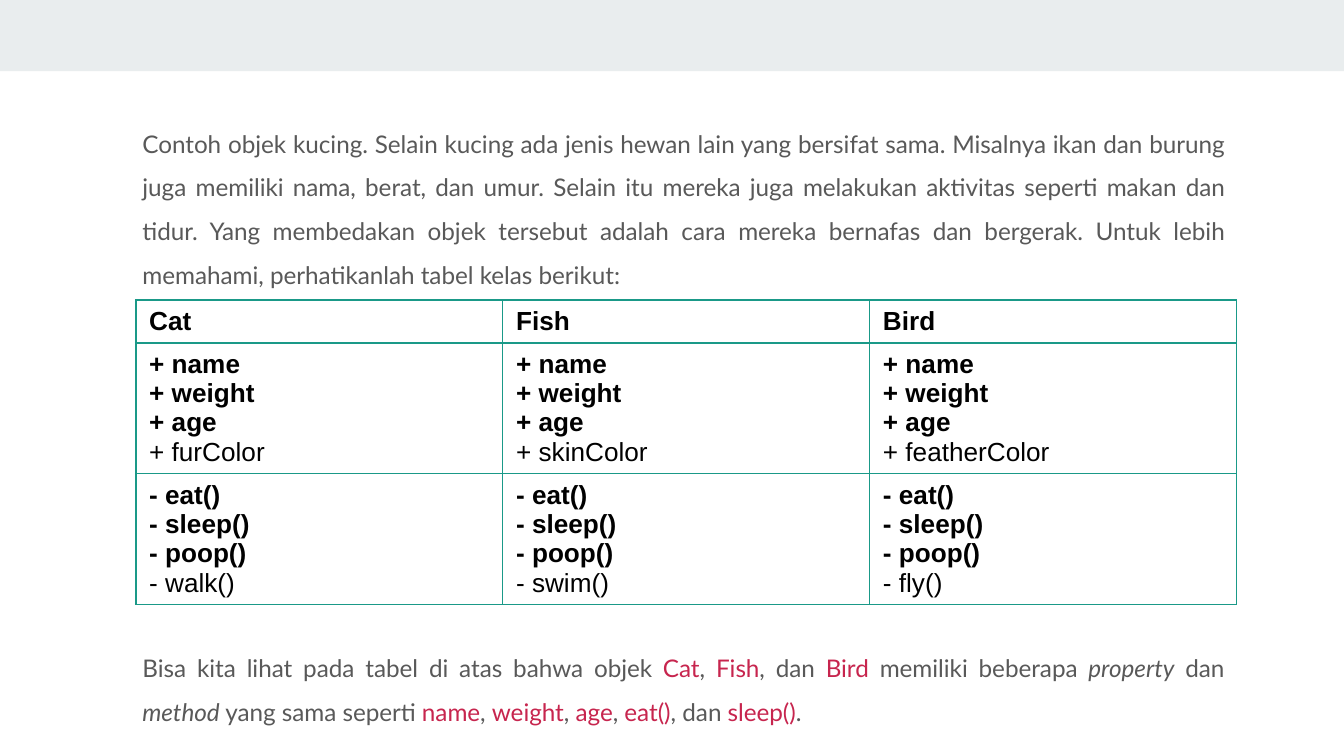
import pptx
import pptx.dml.color
import pptx.enum.shapes
import pptx.enum.text
import pptx.oxml.ns
import pptx.util
from lxml import etree

Pt = pptx.util.Pt
qn = pptx.oxml.ns.qn

GREY = "595959"
CODE = "C7254E"
GREEN = "1A9988"
BAND = "E9EDEE"
BLACK = "000000"

INTRO = [
    ("Contoh objek kucing. Selain kucing ada jenis hewan lain yang bersifat sama. "
     "Misalnya ikan dan burung juga memiliki nama, berat, dan umur. Selain itu mereka "
     "juga melakukan aktivitas seperti makan dan tidur. Yang membedakan objek tersebut "
     "adalah cara mereka bernafas dan bergerak. Untuk lebih memahami, perhatikanlah "
     "tabel kelas berikut:", GREY, False),
]
SUMMARY = [
    ("Bisa kita lihat pada tabel di atas bahwa objek ", GREY, False),
    ("Cat", CODE, False),
    (", ", GREY, False),
    ("Fish", CODE, False),
    (", dan ", GREY, False),
    ("Bird ", CODE, False),
    ("memiliki beberapa ", GREY, False),
    ("property", GREY, True),
    (" dan ", GREY, False),
    ("method", GREY, True),
    (" yang sama seperti ", GREY, False),
    ("name", CODE, False),
    (", ", GREY, False),
    ("weight", CODE, False),
    (", ", GREY, False),
    ("age", CODE, False),
    (", ", GREY, False),
    ("eat()", CODE, False),
    (", dan ", GREY, False),
    ("sleep()", CODE, False),
    (".", GREY, False),
]

SHARED_PROPERTIES = ["+ name", "+ weight", "+ age"]
SHARED_METHODS = ["- eat()", "- sleep()", "- poop()"]
ANIMALS = [
    ("Cat", "+ furColor", "- walk()"),
    ("Fish", "+ skinColor", "- swim()"),
    ("Bird", "+ featherColor", "- fly()"),
]


def rgb(hex_colour):
    return pptx.dml.color.RGBColor.from_string(hex_colour)


def add_run(paragraph, text, font, size, colour, bold=False, italic=False):
    run = paragraph.add_run()
    run.text = text
    run.font.name = font
    run.font.size = Pt(size)
    run.font.color.rgb = rgb(colour)
    run.font.bold = bold
    run.font.italic = italic


def add_header_band(slide, left, top, width, height):
    band = slide.shapes.add_shape(
        pptx.enum.shapes.MSO_SHAPE.RECTANGLE, Pt(left), Pt(top), Pt(width), Pt(height))
    band.shadow.inherit = False
    band.fill.solid()
    band.fill.fore_color.rgb = rgb(BAND)
    band.line.fill.background()


def fill_paragraph(paragraph, pieces, space_before):
    paragraph.alignment = pptx.enum.text.PP_ALIGN.JUSTIFY
    paragraph.line_spacing = 1.5
    paragraph.space_before = Pt(space_before)
    paragraph.space_after = Pt(0)
    properties = paragraph._p.get_or_add_pPr()
    properties.set("marL", str(Pt(11.5)))
    properties.set("indent", "0")
    etree.SubElement(properties, qn("a:buNone"))
    for text, colour, italic in pieces:
        add_run(paragraph, text, "Lato", 13, colour, italic=italic)


def place_explanation(slide, left, top, width, height, table_gap):
    body = slide.placeholders[1]
    body.left, body.top, body.width, body.height = Pt(left), Pt(top), Pt(width), Pt(height)
    frame = body.text_frame
    frame.word_wrap = True
    frame.auto_size = pptx.enum.text.MSO_AUTO_SIZE.NONE
    frame.vertical_anchor = pptx.enum.text.MSO_ANCHOR.TOP
    frame.margin_left = frame.margin_right = Pt(7.2)
    frame.margin_top = frame.margin_bottom = Pt(7.2)
    fill_paragraph(frame.paragraphs[0], INTRO, 0)
    fill_paragraph(frame.add_paragraph(), SUMMARY, table_gap)


def add_borders(cell, colour, width):
    properties = cell._tc.get_or_add_tcPr()
    for side in ("a:lnL", "a:lnR", "a:lnT", "a:lnB"):
        border = etree.SubElement(properties, qn(side), w=str(Pt(width)))
        fill = etree.SubElement(border, qn("a:solidFill"))
        etree.SubElement(fill, qn("a:srgbClr"), val=colour)


def fill_cell(cell, shared, own, own_bold):
    add_borders(cell, GREEN, 1)
    cell.fill.background()
    cell.vertical_anchor = pptx.enum.text.MSO_ANCHOR.MIDDLE
    paragraph = cell.text_frame.paragraphs[0]
    for member in shared:
        add_run(paragraph, member, "Arial", 14, BLACK, bold=True)
        paragraph.add_line_break()
    add_run(paragraph, own, "Arial", 14, BLACK, bold=own_bold)


def add_class_table(slide, left, top, width, row_heights):
    table = slide.shapes.add_table(
        len(row_heights), len(ANIMALS), Pt(left), Pt(top), Pt(width),
        Pt(sum(row_heights))).table
    table.first_row = False
    table.horz_banding = False
    for row, height in zip(table.rows, row_heights):
        row.height = Pt(height)
    for column, (name, own_property, own_method) in enumerate(ANIMALS):
        table.columns[column].width = Pt(width / len(ANIMALS))
        fill_cell(table.cell(0, column), [], name, True)
        fill_cell(table.cell(1, column), SHARED_PROPERTIES, own_property, False)
        fill_cell(table.cell(2, column), SHARED_METHODS, own_method, False)


def main():
    presentation = pptx.Presentation()
    presentation.slide_width = Pt(720)
    presentation.slide_height = Pt(405)
    slide = presentation.slides.add_slide(presentation.slide_layouts[1])
    title = slide.shapes.title
    title.element.getparent().remove(title.element)
    add_header_band(slide, 0, 0, 720, 38.2)
    place_explanation(slide, 57.6, 54, 605.5, 347.8, table_gap=187.2)
    add_class_table(slide, 72.7, 160.6, 589.7, [23, 70, 70])
    presentation.save("out.pptx")


if __name__ == "__main__":
    main()
